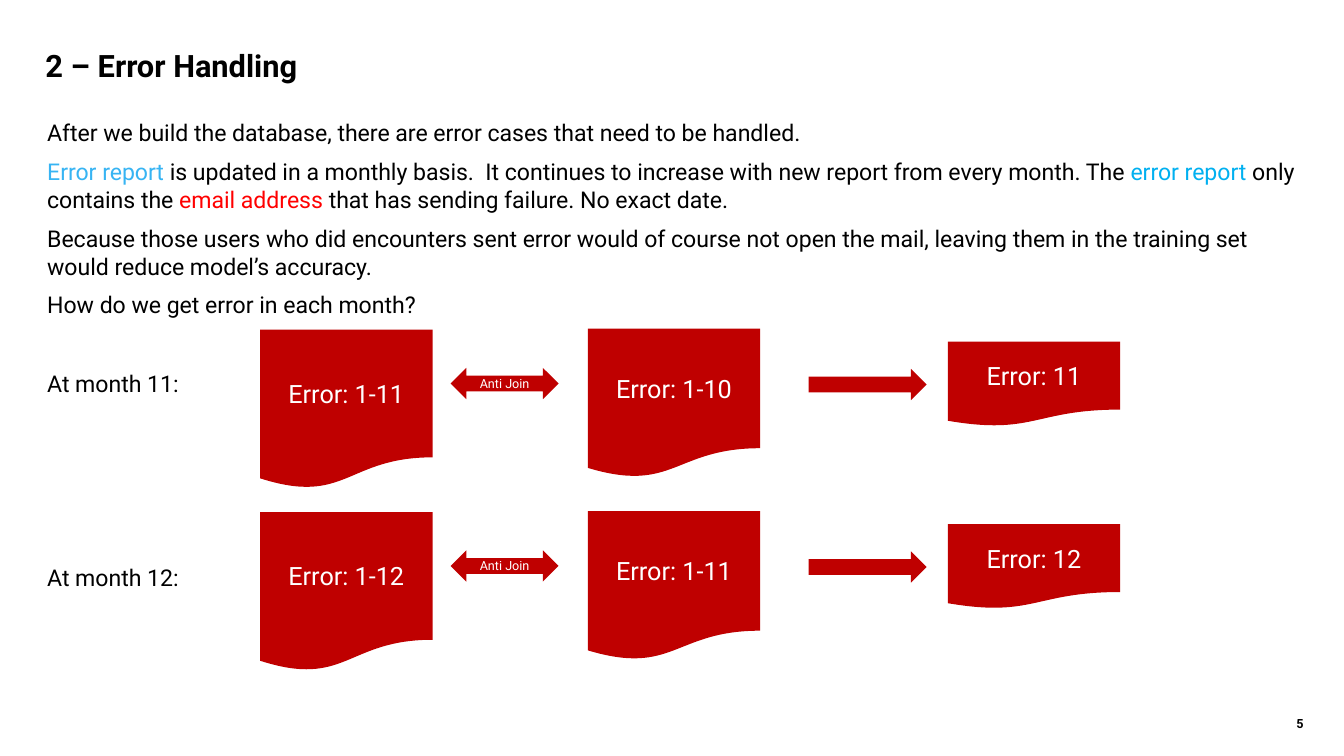
from dataclasses import dataclass

from pptx import Presentation
from pptx import util as u
from pptx.dml.color import RGBColor
from pptx.enum import shapes, text


@dataclass(frozen=True)
class Theme:
    """Colours, font and type sizes of the slide."""
    font: str = "Roboto"
    black: str = "000000"
    white: str = "FFFFFF"
    dark_red: str = "BF0000"
    red: str = "FF0000"
    sky: str = "37B4F3"
    blue: str = "00B0F0"
    title: float = 22
    body: float = 16.5
    document: float = 18
    small: float = 9


THEME = Theme()
KIND = shapes.MSO_SHAPE
ALIGN = text.PP_ALIGN
TITLE_BOX = (0.37, 0.35, 12.6, 0.59)
BODY_BOX = (0.37, 1.13, 12.6, 5.64)
NUMBER_BOX = (12.14, 7.05, 0.84, 0.26)
FLOW_LEFT, FLOW_TOP, FLOW_PITCH = 2.58, 3.26, 1.81

PARAGRAPHS = [
    (0, [("After we build the database, there are error cases that need to be handled.", THEME.black)]),
    (0, [
        ("Error report ", THEME.sky),
        ("is updated in a monthly basis.  It continues to increase with new report from every month. The ",
         THEME.black),
        ("error report ", THEME.blue),
        ("only contains the ", THEME.black),
        ("email address ", THEME.red),
        ("that has sending failure. No exact date.", THEME.black),
    ]),
    (0, [("Because those users who did encounters sent error would of course not open the mail, "
          "leaving them in the training set would reduce model’s accuracy.", THEME.black)]),
    (0, [("How do we get error in each month?", THEME.black)]),
    (28, [("At month 11:", THEME.black)]),
    (111, [("At month 12:", THEME.black)]),
]


def apply(target, values):
    """Set each attribute of target from a dict of values."""
    for name, value in values.items():
        setattr(target, name, value)


def place(shape, box):
    """Move and size a shape to a box in inches."""
    apply(shape, dict(zip(("left", "top", "width", "height"), map(u.Inches, box))))


def format_frame(frame, inset, anchor=text.MSO_ANCHOR.MIDDLE):
    """Set wrapping, anchor and side and top insets of a text frame."""
    side, top = map(u.Inches, inset)
    apply(frame, {
        "word_wrap": True, "auto_size": text.MSO_AUTO_SIZE.NONE, "vertical_anchor": anchor,
        "margin_left": side, "margin_right": side, "margin_top": top, "margin_bottom": top,
    })


def add_run(paragraph, words, size, colour, bold=False):
    """Append one formatted run to a paragraph."""
    run = paragraph.add_run()
    run.text = words
    apply(run.font, {"name": THEME.font, "size": u.Pt(size), "bold": bold})
    run.font.color.rgb = RGBColor.from_string(colour)


def add_title(slide, box):
    """Fill the title placeholder."""
    title = slide.shapes.title
    place(title, box)
    format_frame(title.text_frame, (0.08, 0.08))
    paragraph = title.text_frame.paragraphs[0]
    paragraph.alignment = ALIGN.LEFT
    add_run(paragraph, "2 – Error Handling", THEME.title, THEME.black, True)


def add_body(slide, box):
    """Write the explanation and the labels of the two months."""
    frame = slide.shapes.add_textbox(*map(u.Inches, box)).text_frame
    format_frame(frame, (0.1, 0.05), text.MSO_ANCHOR.TOP)
    for index, (before, runs) in enumerate(PARAGRAPHS):
        paragraph = frame.add_paragraph() if index else frame.paragraphs[0]
        apply(paragraph, {"space_before": u.Pt(before), "space_after": u.Pt(8)})
        for words, colour in runs:
            add_run(paragraph, words, THEME.body, colour)


def add_number(slide, box):
    """Write the slide number."""
    frame = slide.shapes.add_textbox(*map(u.Inches, box)).text_frame
    format_frame(frame, (0.05, 0.05))
    paragraph = frame.paragraphs[0]
    paragraph.alignment = ALIGN.RIGHT
    add_run(paragraph, "5", THEME.small, THEME.black, True)


def add_block(slide, kind, box, words, size):
    """Draw one red shape with an optional centred label."""
    shape = slide.shapes.add_shape(kind, *map(u.Inches, box))
    shape.shadow.inherit = False
    shape.fill.solid()
    shape.fill.fore_color.rgb = RGBColor.from_string(THEME.dark_red)
    shape.line.fill.background()
    format_frame(shape.text_frame, (0.1, 0.05))
    if words:
        paragraph = shape.text_frame.paragraphs[0]
        paragraph.alignment = ALIGN.CENTER
        add_run(paragraph, words, size, THEME.white)


def add_month_flow(slide, left, top, month):
    """Draw how the errors of one month are found."""
    document = KIND.FLOWCHART_DOCUMENT
    parts = [
        (document, (0, 0.01, 1.71, 1.58), f"Error: 1-{month}", THEME.document),
        (document, (3.25, 0, 1.71, 1.48), f"Error: 1-{month - 1}", THEME.document),
        (KIND.LEFT_RIGHT_ARROW, (1.89, 0.39, 1.07, 0.31), "Anti Join", THEME.small),
        (KIND.RIGHT_ARROW, (5.44, 0.4, 1.17, 0.31), "", THEME.small),
        (document, (6.82, 0.13, 1.71, 0.84), f"Error: {month}", THEME.document),
    ]
    for kind, (x, y, width, height), words, size in parts:
        add_block(slide, kind, (left + x, top + y, width, height), words, size)


def main():
    """Build and save the presentation."""
    presentation = Presentation()
    apply(presentation, {"slide_width": u.Inches(13.33), "slide_height": u.Inches(7.5)})
    slide = presentation.slides.add_slide(presentation.slide_layouts[5])
    add_number(slide, NUMBER_BOX)
    add_title(slide, TITLE_BOX)
    add_body(slide, BODY_BOX)
    for row, month in enumerate((11, 12)):
        add_month_flow(slide, FLOW_LEFT, FLOW_TOP + row * FLOW_PITCH, month)
    presentation.save("out.pptx")


if __name__ == "__main__":
    main()
